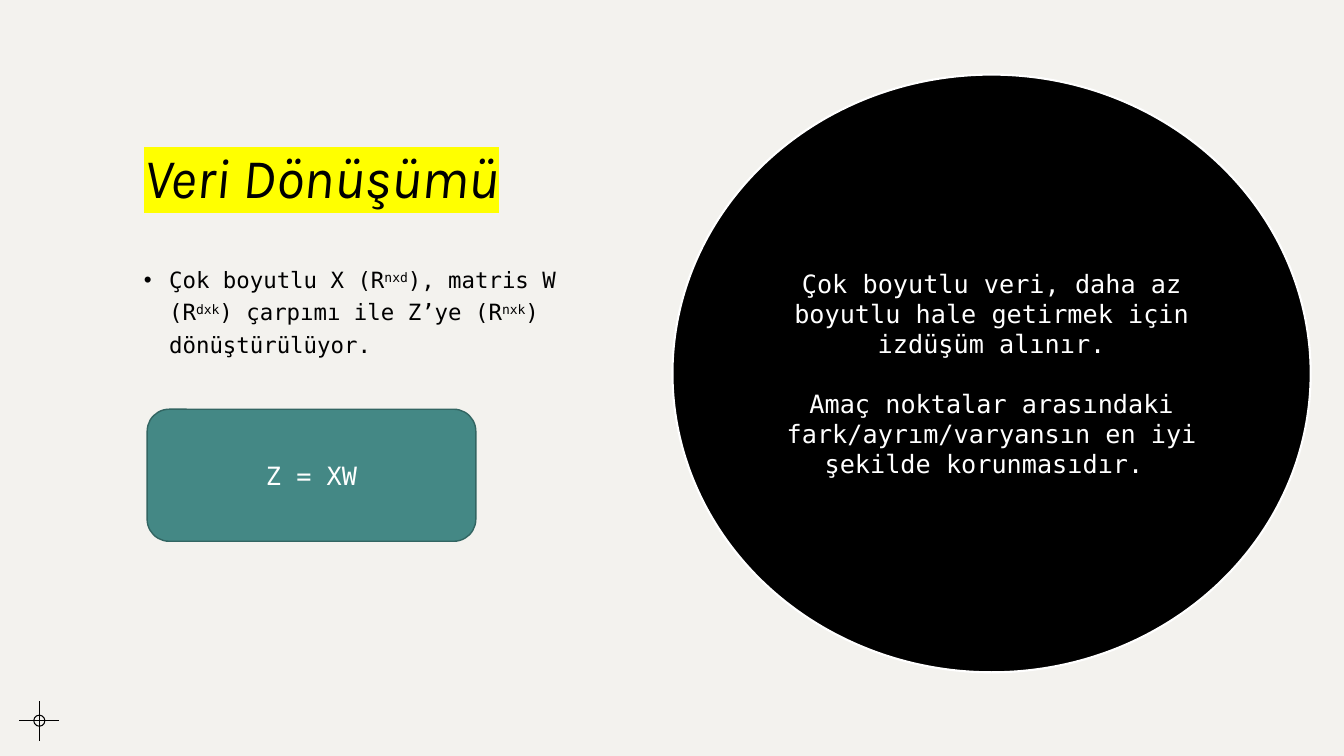
from lxml import etree
from pptx import Presentation
from pptx import util as u
from pptx.dml.color import RGBColor
from pptx.enum import shapes, text
from pptx.oxml.ns import qn

MONO = "DejaVu Sans Mono"
BLACK, WHITE = "000000", "FFFFFF"


def colour(value):
    return RGBColor.from_string(value)


def add_span(para, words, size, font, ink):
    span = para.add_run()
    span.text = words
    span.font.size = u.Pt(size)
    span.font.name = font
    span.font.color.rgb = colour(ink)
    return span


def highlight(span, value):
    mark = etree.Element(qn("a:highlight"))
    etree.SubElement(mark, qn("a:srgbClr")).set("val", value)
    span.font._element.find(qn("a:solidFill")).addnext(mark)


def add_line(page, x1, y1, x2, y2):
    line = page.shapes.add_connector(
        shapes.MSO_CONNECTOR.STRAIGHT, *map(u.Inches, (x1, y1, x2, y2)))
    line.line.color.rgb = colour(BLACK)
    line.line.width = u.Pt(0.75)
    etree.SubElement(line._element.spPr, qn("a:effectLst"))


def add_panel(page, kind, box, fill, edge, weight):
    panel = page.shapes.add_shape(kind, *map(u.Inches, box))
    panel.shadow.inherit = False
    if fill:
        panel.fill.solid()
        panel.fill.fore_color.rgb = colour(fill)
    else:
        panel.fill.background()
    panel.line.color.rgb = colour(edge)
    panel.line.width = u.Pt(weight)
    return panel


def add_crosshair(page, x, y, arm, radius):
    """Draw a cross centred on x, y with a small ring on it."""
    add_line(page, x - arm, y, x + arm, y)
    add_line(page, x, y + arm, x, y - arm)
    ring = (x - radius, y - radius, 2 * radius, 2 * radius)
    add_panel(page, shapes.MSO_SHAPE.OVAL, ring, None, BLACK, 0.75)


def add_title(page, box, words):
    title = page.shapes.title
    title.left, title.top, title.width, title.height = map(u.Inches, box)
    frame = title.text_frame
    frame.word_wrap = True
    frame.auto_size = text.MSO_AUTO_SIZE.NONE
    frame.vertical_anchor = text.MSO_ANCHOR.BOTTOM
    para = frame.paragraphs[0]
    para.alignment = text.PP_ALIGN.LEFT
    para.line_spacing = 1.2
    span = add_span(para, words, 40, "Karla", BLACK)
    span.font.italic = True
    highlight(span, "FFFF00")


def add_bullet(page, box, parts):
    """Write one bulleted paragraph; every second part is superscript."""
    frame = page.shapes.add_textbox(*map(u.Inches, box)).text_frame
    frame.word_wrap = True
    para = frame.paragraphs[0]
    para.line_spacing = 1.2
    props = para._p.get_or_add_pPr()
    props.set("marL", str(u.Inches(0.25)))
    props.set("indent", str(u.Inches(-0.25)))
    etree.SubElement(props, qn("a:buFont")).set("typeface", "Arial")
    etree.SubElement(props, qn("a:buChar")).set("char", "•")
    for index, words in enumerate(parts):
        span = add_span(para, words, 16, MONO, BLACK)
        if index % 2:
            span.font._element.set("baseline", "30000")


def add_message(page, kind, box, fill, edge, weight, messages):
    """Place a filled shape holding centred white paragraphs."""
    frame = add_panel(page, kind, box, fill, edge, weight).text_frame
    frame.word_wrap = True
    frame.vertical_anchor = text.MSO_ANCHOR.MIDDLE
    for index, words in enumerate(messages):
        para = frame.add_paragraph() if index else frame.paragraphs[0]
        para.alignment = text.PP_ALIGN.CENTER
        if index:
            para.space_before = u.Pt(21)
        add_span(para, words, 18, MONO, WHITE)


def build_slide(deck):
    page = deck.slides.add_slide(deck.slide_layouts[5])
    page.background.fill.solid()
    page.background.fill.fore_color.rgb = colour("F3F2EE")
    add_crosshair(page, 0.39, 7.15, 0.2, 0.055)
    add_title(page, (1.33, 0.4, 10.38, 1.73), "Veri Dönüşümü")
    add_bullet(page, (1.33, 2.54, 4.63, 3.01), [
        "Çok boyutlu X (R", "nxd", "), matris W (R", "dxk",
        ") çarpımı ile Z’ye (R", "nxk", ") dönüştürülüyor."])
    add_message(page, shapes.MSO_SHAPE.ROUNDED_RECTANGLE,
                (1.46, 4.06, 3.26, 1.31), "448885", "326562", 1, ["Z = XW"])
    add_message(page, shapes.MSO_SHAPE.OVAL,
                (6.67, 0.74, 6.33, 5.93), BLACK, WHITE, 1.5, [
                    "Çok boyutlu veri, daha az boyutlu hale getirmek için "
                    "izdüşüm alınır.",
                    "Amaç noktalar arasındaki fark/ayrım/varyansın en iyi "
                    "şekilde korunmasıdır. "])


def main():
    deck = Presentation()
    deck.slide_width, deck.slide_height = u.Inches(13.33), u.Inches(7.5)
    build_slide(deck)
    deck.save("out.pptx")


if __name__ == "__main__":
    main()
